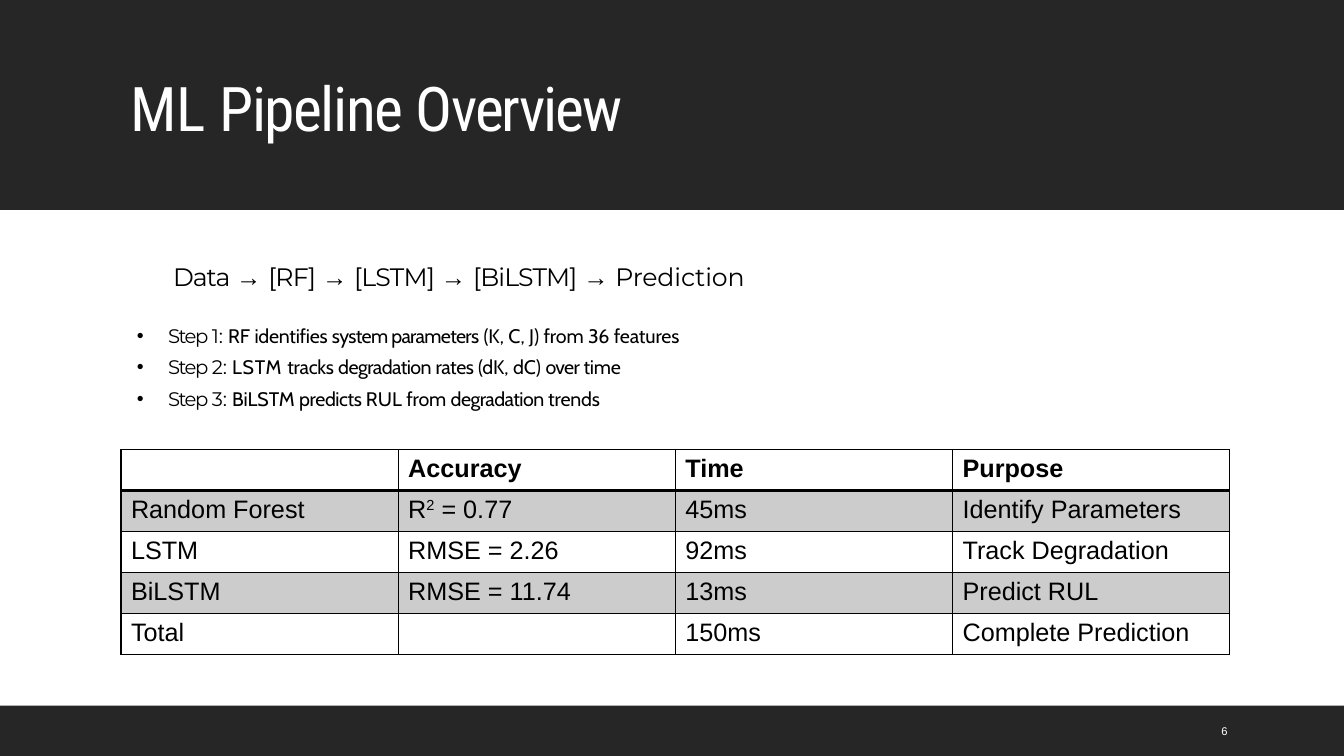
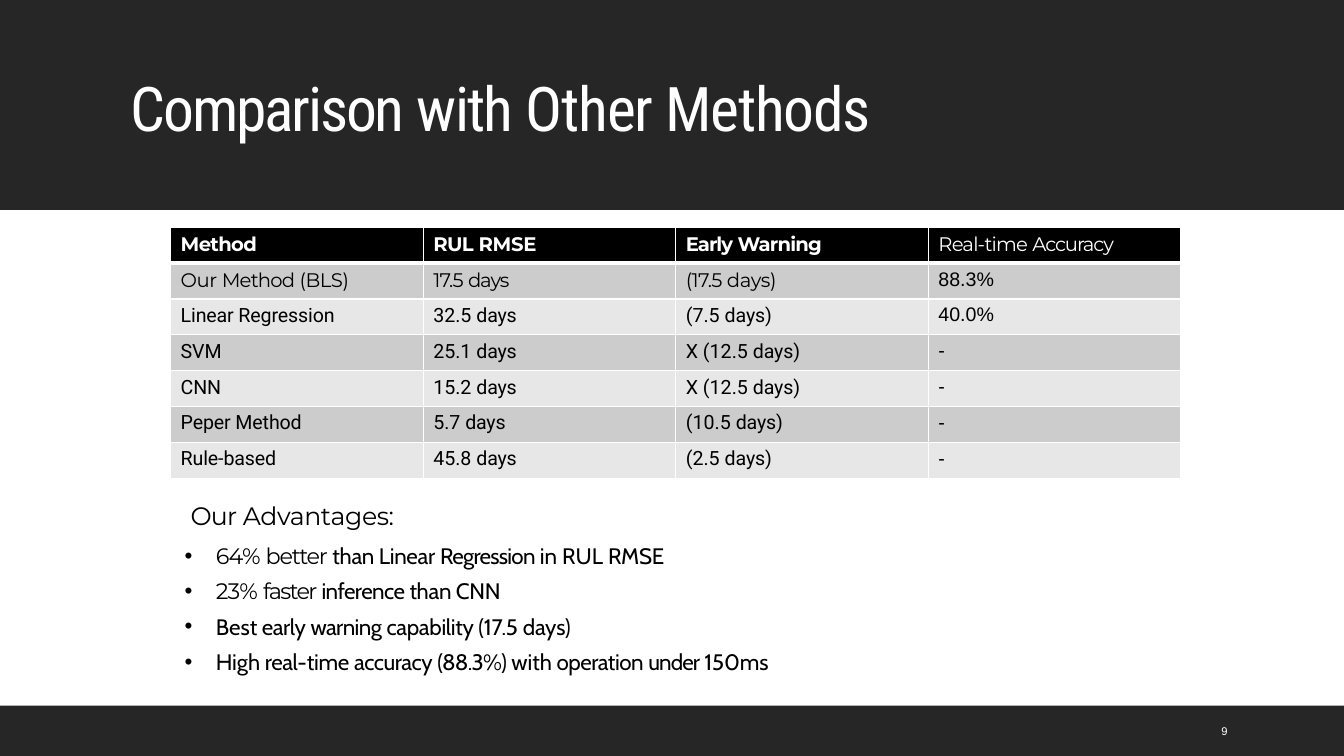
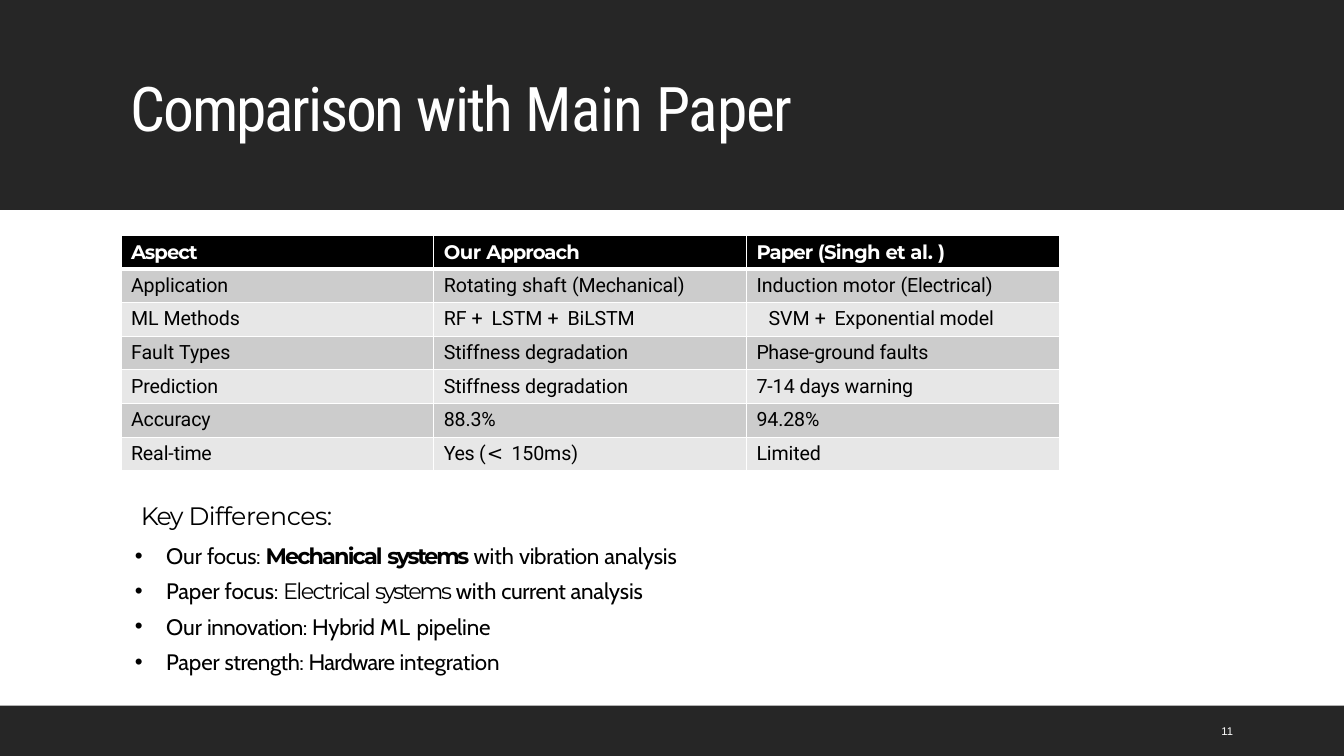
from pptx import Presentation
from pptx import util as u
from pptx.dml import color
from pptx.enum import shapes, text
from pptx.oxml import ns
from lxml import etree

Pt = u.Pt
rgb = color.RGBColor.from_string
BAND, WHITE, BLACK, GREY, PALE = "262626", "FFFFFF", "000000", "CCCCCC", "E7E7E7"
ARIAL, CABIN, MONT, ROBOTO = "Arial", "Cabin", "Montserrat", "Roboto"
LEFT = 86.4


def write(paragraph, runs, size, font, ink, bold=False):
    for words, spacing, *override in runs:
        run = paragraph.add_run()
        run.text = words
        face, style = (override + ["", ""])[:2]
        run.font.name = face or font
        run.font.size = Pt(size)
        run.font.bold = (bold or style == "bold") and style != "regular"
        run.font.italic = style == "italic"
        run.font.color.rgb = rgb(ink)
        properties = run._r.get_or_add_rPr()
        if spacing:
            properties.set("spc", str(round(spacing * 100)))
        if style == "super":
            properties.set("baseline", "30000")


def add_box(slide, left, top, width, height, anchor=text.MSO_ANCHOR.TOP):
    frame = slide.shapes.add_textbox(Pt(left), Pt(top), Pt(width), Pt(height)).text_frame
    frame.word_wrap = True
    frame.vertical_anchor = anchor
    return frame


arrow = ("→ ", 0, ARIAL, "italic")

pipeline_rows = [
    [[], [("Accuracy", 0)], [("Time", 0)], [("Purpose", 0)]],
    [[("Random Forest", 0)], [("R", 0), ("2", 0, "", "super"), (" = 0.77", 0)],
     [("45ms", 0)], [("Identify Parameters", 0)]],
    [[("LSTM", 0)], [("RMSE = 2.26", 0)], [("92ms", 0)], [("Track Degradation", 0)]],
    [[("BiLSTM", 0)], [("RMSE = 11.74", 0)], [("13ms", 0)], [("Predict RUL", 0)]],
    [[("Total", 0)], [], [("150ms", 0)], [("Complete Prediction", 0)]],
]

method_rows = [
    [[("Method", -0.5)],
     [("RUL ", -0.5), ("RMSE", -0.2)],
     [("Early ", -0.7), ("Warning", -0.6)],
     [("Real-time ", -0.6, "", "regular"), ("Accuracy", -0.8, "", "regular")]],
    [[("Our ", -0.4, MONT), ("Method ", -0.6, MONT), ("(BLS)", -0.3, MONT)],
     [("17.5 ", -0.6, MONT), ("days", -0.8, MONT)],
     [("(17.5 ", -0.5, MONT), ("days)", -0.3, MONT)],
     [("88.3%", 0, ARIAL)]],
]
for method, rmse, warning, accuracy in [
    ("Linear Regression", "32.5 ", "(7.5 ", "40.0%"),
    ("SVM", "25.1 ", "X (12.5 ", "-"),
    ("CNN", "15.2 ", "X (12.5 ", "-"),
    ("Peper Method", "5.7 ", "(10.5 ", "-"),
    ("Rule-based", "45.8 ", "(2.5 ", "-"),
]:
    method_rows.append([
        [(method, -0.1)],
        [(rmse, 0), ("days", -0.2)],
        [(warning, 0), ("days)", -0.1)],
        [(accuracy, 0, ARIAL)],
    ])

paper_rows = [
    [[("Aspect", -0.7)],
     [("Our ", -0.4), ("Approach", -0.7)],
     [("Paper ", -0.7), ("(Singh ", -0.5), ("et ", -0.6), ("al. )", -0.2)]],
    [[("Application", -0.1)],
     [("Rotating shaft ", 0), ("(Mechanical)", -0.1)],
     [("Induction motor ", 0), ("(Electrical)", -0.1)]],
    [[("ML ", 0), ("Methods", -0.1)],
     [("RF ", 0), ("+ ", 1.4), ("LSTM ", 0), ("+ ", 1.4), ("BiLSTM", -0.1)],
     [("SVM ", 0), ("+ ", 1.4), ("Exponential model", -0.1)]],
    [[("Fault ", 0), ("Types", -0.1)],
     [("Stiffness degradation", -0.1)],
     [("Phase-", -0.3), ("ground faults", -0.1)]],
    [[("Prediction", -0.1)],
     [("Stiffness degradation", -0.1)],
     [("7-", -0.2), ("14 ", 0), ("days ", -0.2), ("warning", -0.1)]],
    [[("Accuracy", -0.1)], [("88.3%", -0.1)], [("94.28%", -0.1)]],
    [[("Real-", -0.1), ("time", -0.2)],
     [("Yes ", -0.3), ("(", 0.7), ("< ", 0.7, "DejaVu Sans", "italic"), ("150ms)", -0.1)],
     [("Limited", -0.1)]],
]

plain_table = dict(size=18, head_font=ARIAL, head_ink=BLACK, body_font=ARIAL,
                   fills=[WHITE, GREY, WHITE], line=BLACK, head_line=2)
dark_table = dict(size=14, head_font=MONT, head_ink=WHITE, body_font=ROBOTO,
                  fills=[BLACK, GREY, PALE], line=WHITE, head_line=3)

pages = [
    dict(
        number="6",
        title=[("ML ", -0.5), ("Pipeline ", -1.1), ("Overview", -1.4)],
        rows=pipeline_rows, look=plain_table,
        place=(LEFT, 321.1), column=198, row=29.25,
        notes=(LEFT, 182.9, 741, 137),
        lead=[("Data ", -0.8), arrow, ("[RF] ", -0.6), arrow, ("[LSTM] ", -0.5), arrow,
              ("[BiLSTM] ", -0.6), arrow, ("Prediction", -0.1)],
        lead_indent=30.2, bullet_indent=26.6, bullet_size=14, gap=23,
        bullets=[
            [("Step ", -1.1, MONT), ("1: ", -0.1, MONT), ("RF ", 0), ("identifies ", -0.2),
             ("system parameters", -0.5), (" (K, C, J) ", 0), ("from ", -0.1),
             ("36 ", -0.2), ("features", -0.1)],
            [("Step ", -1.1, MONT), ("2: ", -0.1, MONT), ("LSTM ", 0.5), ("tracks ", -0.2),
             ("degradation ", -0.4), ("rates ", -0.3), ("(dK, dC) ", 0), ("over ", -0.5),
             ("time", -0.2)],
            [("Step ", -1.1, MONT), ("3: ", -0.1, MONT), ("BiLSTM ", 0), ("predicts ", -0.3),
             ("RUL ", 0), ("from ", -0.1), ("degradation ", -0.4), ("trends", -0.1)],
        ],
    ),
    dict(
        number="9",
        title=[("Comparison ", -1.6), ("with ", -1.3), ("Other Methods", -0.9)],
        rows=method_rows, look=dark_table,
        place=(121.9, 162.4), column=180.4, row=25.6,
        notes=(121.9, 354.2, 462, 155),
        lead=[("Our ", -0.6), ("Advantages:", -0.3)],
        lead_indent=7.2, bullet_indent=25.2, bullet_size=16, gap=8,
        bullets=[
            [("64% ", -0.5, MONT), ("better ", -0.9, MONT), ("than Linear ", -0.2),
             ("Regression ", -0.5), ("in RUL ", 0), ("RMSE", -0.2)],
            [("23% ", -0.5, MONT), ("faster ", -1.2, MONT), ("inference ", -0.4),
             ("than CNN", -0.2)],
            [("Best", 0), (" early ", -0.3), ("warning ", -0.4), ("capability (17.5 ", -0.2),
             ("days)", -0.1)],
            [("High", 0), (" real-", -0.3), ("time ", -0.2), ("accuracy ", -0.3),
             ("(88.3%) ", -0.5), ("with", 0), (" operation ", -0.3), ("under ", -0.6),
             ("150ms", -0.1)],
        ],
    ),
    dict(
        number="11",
        title=[("Comparison ", -1.6), ("with ", -1.3), ("Main ", -0.7), ("Paper", -0.9)],
        rows=paper_rows, look=dark_table,
        place=(LEFT, 168), column=223.4, row=23.7,
        notes=(LEFT, 354.2, 433, 155),
        lead=[("Key ", -1.2), ("Differences:", -0.3)],
        lead_indent=7.2, bullet_indent=25.2, bullet_size=16, gap=8,
        bullets=[
            [("Our ", 0), ("focus: ", -0.2), ("Mechanical ", -1.3, MONT, "bold"),
             ("systems ", -1.6, MONT, "bold"), ("with ", 0), ("vibration", -0.2),
             (" analysis", -0.1)],
            [("Paper ", -0.1), ("focus: ", -0.2), ("Electrical ", -1.2, MONT),
             ("systems ", -1.6, MONT), ("with ", 0), ("current ", -0.3), ("analysis", -0.1)],
            [("Our ", 0), ("innovation: ", -0.3), ("Hybrid ", -0.2), ("ML ", 0.6),
             ("pipeline", -0.1)],
            [("Paper ", -0.1), ("strength: ", -0.3), ("Hardware ", -0.5),
             ("integration", -0.1)],
        ],
    ),
]

deck = Presentation()
deck.slide_width, deck.slide_height = Pt(960), Pt(540)

for page in pages:
    slide = deck.slides.add_slide(deck.slide_layouts[6])
    slide.background.fill.solid()
    slide.background.fill.fore_color.rgb = rgb(WHITE)

    for top, height in [(0, 150), (504, 36)]:
        band = slide.shapes.add_shape(shapes.MSO_SHAPE.RECTANGLE, 0, Pt(top), Pt(960), Pt(height))
        band.shadow.inherit = False
        band.fill.solid()
        band.fill.fore_color.rgb = rgb(BAND)
        band.line.fill.background()

    title = add_box(slide, LEFT, 22.3, 792, 114.5, text.MSO_ANCHOR.MIDDLE).paragraphs[0]
    title.line_spacing = 0.9
    write(title, page["title"], 44, "Roboto Condensed", WHITE)

    look, rows = page["look"], page["rows"]
    left, top = page["place"]
    grid = slide.shapes.add_table(
        len(rows), len(rows[0]), Pt(left), Pt(top),
        Pt(page["column"] * len(rows[0])), Pt(page["row"] * len(rows))).table
    grid.horz_banding = False
    for column in grid.columns:
        column.width = Pt(page["column"])
    for r, row in enumerate(rows):
        grid.rows[r].height = Pt(page["row"])
        head = r == 0
        fill = look["fills"][0 if head else 2 - r % 2]
        for c, runs in enumerate(row):
            cell = grid.cell(r, c)
            edges = cell._tc.get_or_add_tcPr()
            for side in "LRTB":
                heavy = (side, r) in [("B", 0), ("T", 1)]
                width = look["head_line"] if heavy else 1
                edge = etree.SubElement(edges, ns.qn("a:ln" + side), w=str(Pt(width)))
                paint = etree.SubElement(edge, ns.qn("a:solidFill"))
                etree.SubElement(paint, ns.qn("a:srgbClr"), val=look["line"])
            cell.fill.solid()
            cell.fill.fore_color.rgb = rgb(fill)
            write(cell.text_frame.paragraphs[0], runs, look["size"],
                  look["head_font"] if head else look["body_font"],
                  look["head_ink"] if head else BLACK, head)

    number = add_box(slide, 865.4, 507.6, 61.2, 28.8, text.MSO_ANCHOR.MIDDLE).paragraphs[0]
    number.space_after = Pt(6)
    write(number, [(page["number"], 0)], 8, ARIAL, WHITE)

    notes = add_box(slide, *page["notes"])
    lead = notes.paragraphs[0]
    lead._p.get_or_add_pPr().set("marL", str(Pt(page["lead_indent"])))
    write(lead, page["lead"], 18, MONT, BLACK)
    for i, runs in enumerate(page["bullets"]):
        point = notes.add_paragraph()
        layout = point._p.get_or_add_pPr()
        layout.set("marL", str(Pt(page["bullet_indent"])))
        layout.set("indent", str(Pt(-22.3)))
        ink = etree.SubElement(layout, ns.qn("a:buClr"))
        etree.SubElement(ink, ns.qn("a:srgbClr"), val=BLACK)
        etree.SubElement(layout, ns.qn("a:buFont"), typeface=ARIAL)
        etree.SubElement(layout, ns.qn("a:buChar"), char="•")
        point.space_before = Pt(6 if i else page["gap"])
        write(point, runs, page["bullet_size"], CABIN, BLACK)

grid.cell(2, 2).margin_left = Pt(15.8)

deck.save("out.pptx")
